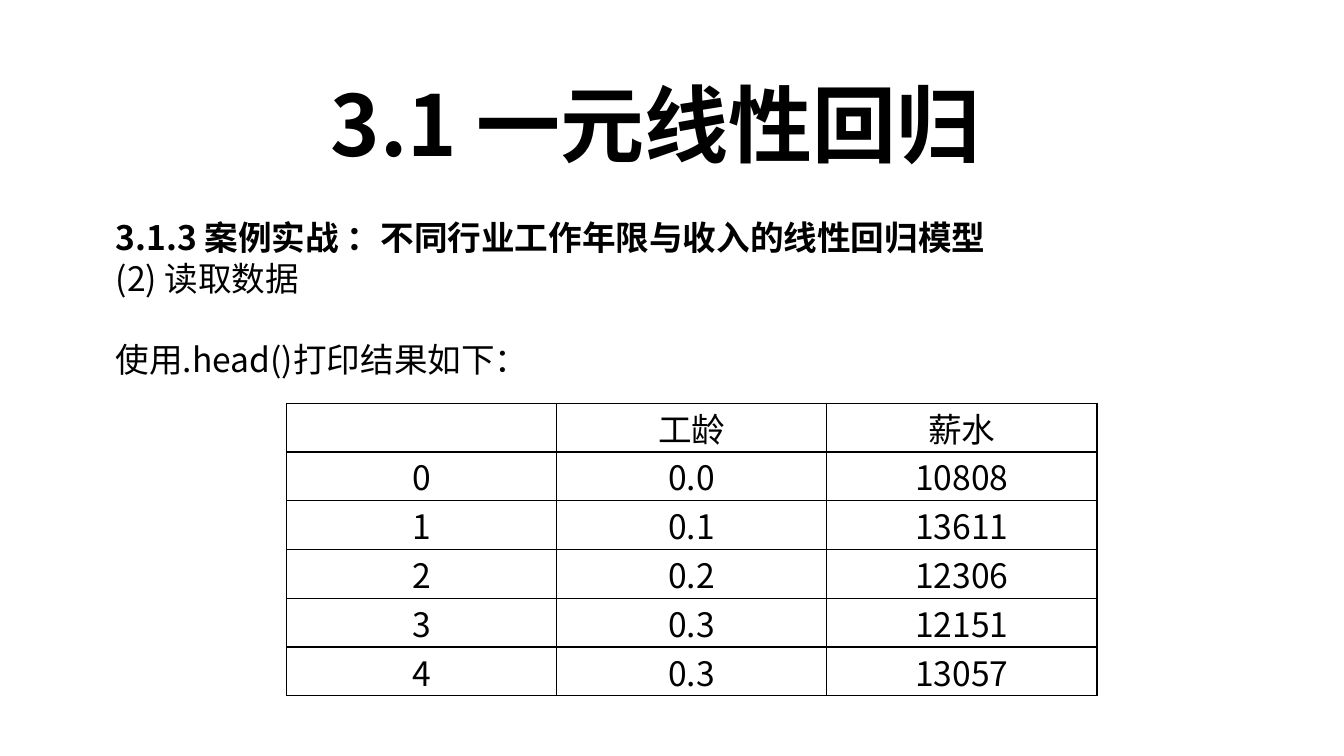
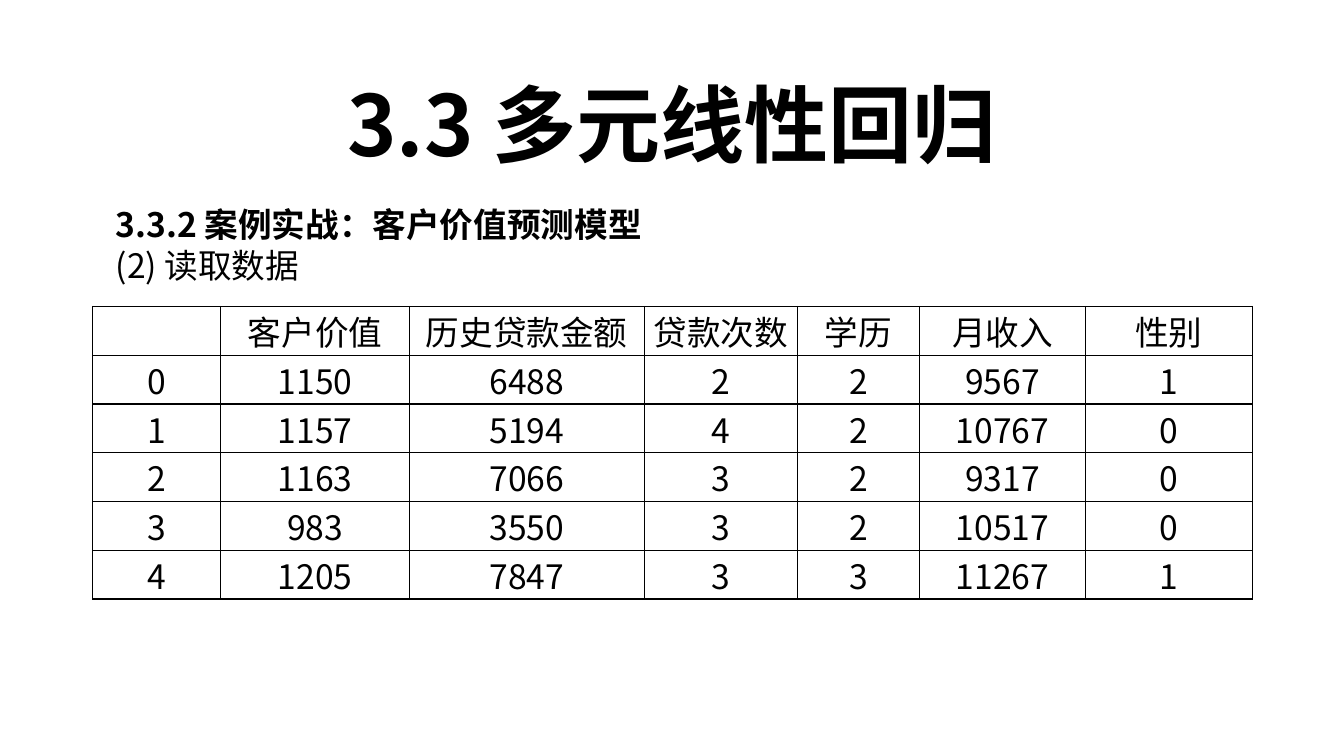
from lxml import etree
from pptx import Presentation
from pptx.dml.color import RGBColor
from pptx.enum import text
from pptx.oxml.ns import qn
from pptx.util import Emu, Pt

# Shared style; 100 px make one inch
PX = 9144
FONT = "Noto Sans CJK SC"
COLORS = {"ink": "000000", "paper": "FFFFFF"}
TITLE_BOX = (318, 59, 697, 111)
TITLE_SIZE, BODY_SIZE = 60, 24
TITLE_LINE, BODY_LINE = 73, 29
TABLE_HEIGHT = 290
LEFT, CENTER = text.PP_ALIGN.LEFT, text.PP_ALIGN.CENTER

# Content: body lines are (text, bold, blank lines above)
SLIDES = [
    {
        "title": "3.1 一元线性回归",
        "title_align": LEFT,
        "body_box": (105, 207, 1124, 172),
        "body": [
            ("3.1.3 案例实战 ：不同行业工作年限与收入的线性回归模型", True, 0),
            ("(2) 读取数据", False, 0),
            ("使用.head()打印结果如下：", False, 1),
        ],
        "table_at": (284, 400),
        "columns": [268] * 3,
        "rows": [
            ("", "工龄", "薪水"),
            ("0", "0.0", "10808"),
            ("1", "0.1", "13611"),
            ("2", "0.2", "12306"),
            ("3", "0.3", "12151"),
            ("4", "0.3", "13057"),
        ],
    },
    {
        "title": "3.3 多元线性回归",
        "title_align": CENTER,
        "body_box": (105, 194, 1124, 91),
        "body": [
            ("3.3.2 案例实战：客户价值预测模型", True, 0),
            ("(2) 读取数据", False, 0),
        ],
        "table_at": (92, 304),
        "columns": [127, 187, 233, 152, 121, 165, 165],
        "rows": [
            ("", "客户价值", "历史贷款金额", "贷款次数", "学历", "月收入", "性别"),
            ("0", "1150", "6488", "2", "2", "9567", "1"),
            ("1", "1157", "5194", "4", "2", "10767", "0"),
            ("2", "1163", "7066", "3", "2", "9317", "0"),
            ("3", "983", "3550", "3", "2", "10517", "0"),
            ("4", "1205", "7847", "3", "3", "11267", "1"),
        ],
    },
]


def px(*lengths):
    return [Emu(round(length * PX)) for length in lengths]


def add_run(paragraph, words, size, bold=False):
    run = paragraph.add_run()
    run.text = words
    font = run.font
    font.size, font.bold, font.name = Pt(size), bold, FONT
    font.color.rgb = RGBColor.from_string(COLORS["ink"])
    properties = run._r.get_or_add_rPr()
    properties.set("lang", "zh-CN")
    etree.SubElement(properties, qn("a:ea"), typeface=FONT)


def set_frame(frame, wrap, top):
    frame.word_wrap = wrap
    frame.auto_size = text.MSO_AUTO_SIZE.NONE
    frame.vertical_anchor = text.MSO_ANCHOR.TOP
    frame.margin_left, frame.margin_top, frame.margin_right, frame.margin_bottom = px(
        10, top, 10, 5)


def add_title(slide, words, alignment):
    title = slide.shapes.title
    title.left, title.top, title.width, title.height = px(*TITLE_BOX)
    set_frame(title.text_frame, False, 12)
    paragraph = title.text_frame.paragraphs[0]
    paragraph.alignment = alignment
    paragraph.line_spacing = Pt(TITLE_LINE)
    add_run(paragraph, words, TITLE_SIZE, True)


def add_body(slide, box, lines):
    frame = slide.shapes.add_textbox(*px(*box)).text_frame
    set_frame(frame, True, 8)
    for index, (words, bold, gap) in enumerate(lines):
        paragraph = frame.add_paragraph() if index else frame.paragraphs[0]
        paragraph.line_spacing = Pt(BODY_LINE)
        paragraph.space_before = Pt(gap * BODY_LINE)
        add_run(paragraph, words, BODY_SIZE, bold)


def set_borders(cell):
    properties = cell._tc.get_or_add_tcPr()
    for side in ("lnL", "lnR", "lnT", "lnB"):
        line = etree.SubElement(properties, qn("a:" + side), w=str(Pt(1)))
        fill = etree.SubElement(line, qn("a:solidFill"))
        etree.SubElement(fill, qn("a:srgbClr"), val=COLORS["ink"])


def fill_cell(cell, words):
    set_borders(cell)
    cell.fill.solid()
    cell.fill.fore_color.rgb = RGBColor.from_string(COLORS["paper"])
    cell.margin_left = cell.margin_right = cell.margin_top = cell.margin_bottom = 0
    cell.vertical_anchor = text.MSO_ANCHOR.BOTTOM
    paragraph = cell.text_frame.paragraphs[0]
    paragraph.alignment = CENTER
    if words:
        add_run(paragraph, words, BODY_SIZE)


def add_data_table(slide, place, columns, rows):
    box = px(*place, sum(columns), TABLE_HEIGHT)
    table = slide.shapes.add_table(len(rows), len(columns), *box).table
    table.first_row = table.horz_banding = False
    for column, width in zip(table.columns, px(*columns)):
        column.width = width
    for row, values in zip(table.rows, rows):
        row.height = px(TABLE_HEIGHT / len(rows))[0]
        for cell, words in zip(row.cells, values):
            fill_cell(cell, words)


def main():
    presentation = Presentation()
    presentation.slide_width, presentation.slide_height = px(1333, 750)
    for content in SLIDES:
        slide = presentation.slides.add_slide(presentation.slide_layouts[5])
        add_title(slide, content["title"], content["title_align"])
        add_body(slide, content["body_box"], content["body"])
        add_data_table(slide, content["table_at"], content["columns"], content["rows"])
    presentation.save("out.pptx")


if __name__ == "__main__":
    main()
